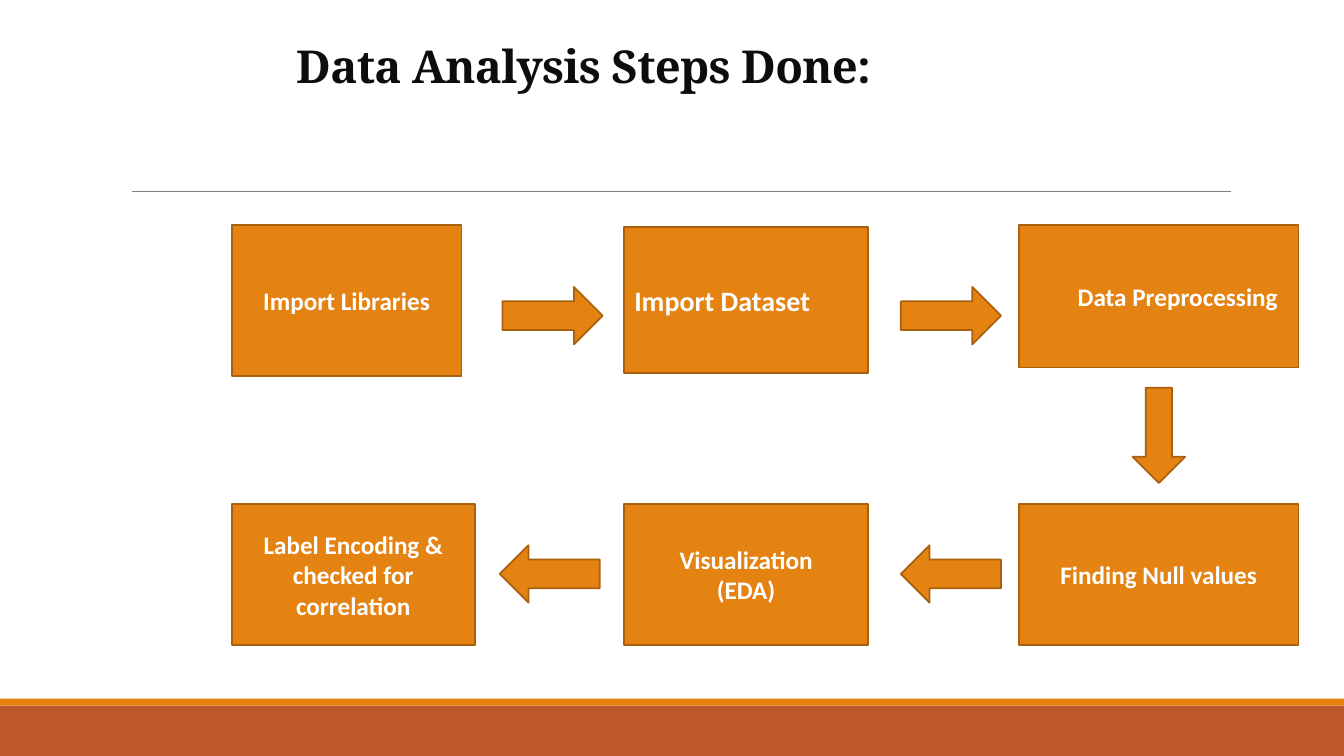
from pptx import Presentation
from pptx.dml.color import RGBColor
from pptx.enum.shapes import MSO_CONNECTOR, MSO_SHAPE
from pptx.enum.text import MSO_ANCHOR, PP_ALIGN
from pptx.oxml.ns import qn
from pptx.util import Pt
from lxml import etree

RECT = MSO_SHAPE.RECTANGLE
RIGHT, DOWN, LEFT = MSO_SHAPE.RIGHT_ARROW, MSO_SHAPE.DOWN_ARROW, MSO_SHAPE.LEFT_ARROW
ALIGN_LEFT, CENTER = PP_ALIGN.LEFT, PP_ALIGN.CENTER
TOP, MIDDLE = MSO_ANCHOR.TOP, MSO_ANCHOR.MIDDLE
STRAIGHT = MSO_CONNECTOR.STRAIGHT
ORANGE, EDGE, RUST = "E48312", "A9610D", "BD582C"
WHITE, INK, GREY = "FFFFFF", "0D0D0D", "808080"
BOX_FONT = {"name": "Calibri", "size": Pt(18), "bold": True}
TITLE_FONT = {"name": "Noto Serif", "size": Pt(32.4), "bold": True}


def rgb(value):
    """Turn a hex string into a colour."""
    return RGBColor.from_string(value)


def add_text(sp, text, font, color, align, anchor, left=7.2):
    """Write one paragraph per line of text and return the runs."""
    tf = sp.text_frame
    frame = {"word_wrap": True, "vertical_anchor": anchor, "margin_left": Pt(left)}
    for key, value in frame.items():
        setattr(tf, key, value)
    tf.text = text
    runs = [r for p in tf.paragraphs for r in p.runs]
    for p in tf.paragraphs:
        p.alignment = align
    for r in runs:
        r.font.color.rgb = rgb(color)
        for key, value in font.items():
            setattr(r.font, key, value)
    return runs


def add_solid(s, kind, bounds, fill, edge=None):
    """Add a filled preset shape, outlined when an edge colour is given."""
    sp = s.shapes.add_shape(kind, *map(Pt, bounds))
    sp.shadow.inherit = False
    sp.fill.solid()
    sp.fill.fore_color.rgb = rgb(fill)
    if edge:
        sp.line.color.rgb = rgb(edge)
        sp.line.width = Pt(1.25)
    else:
        sp.line.fill.background()
    return sp


def add_step(s, bounds, text, align=CENTER, left=7.2, size=18):
    """Add one labelled box of the process."""
    sp = add_solid(s, RECT, bounds, ORANGE, EDGE)
    add_text(sp, text, {**BOX_FONT, "size": Pt(size)}, WHITE, align, MIDDLE, left)


def add_rule(s, x1, x2, y):
    """Add the thin horizontal line under the title."""
    line = s.shapes.add_connector(STRAIGHT, Pt(x1), Pt(y), Pt(x2), Pt(y))
    line.line.color.rgb = rgb(GREY)
    line.line.width = Pt(0.5)
    etree.SubElement(line._element.spPr, qn("a:effectLst"))


def add_title(s, bounds, text):
    """Add the slightly condensed slide title."""
    sp = s.shapes.add_textbox(*map(Pt, bounds))
    sp.text_frame.margin_top = 0
    for r in add_text(sp, text, TITLE_FONT, INK, ALIGN_LEFT, TOP):
        r._r.get_or_add_rPr().set("spc", "-50")


def main():
    """Build the slide and save it."""
    prs = Presentation()
    prs.slide_width, prs.slide_height = Pt(960), Pt(540)
    s = prs.slides.add_slide(prs.slide_layouts[6])

    add_solid(s, RECT, (0, 504, 960, 36), RUST)
    add_solid(s, RECT, (0, 499, 960, 5), ORANGE)
    add_rule(s, 94.3, 879, 136.6)
    add_title(s, (204.5, 27.5, 702, 95), "Data Analysis Steps Done:")

    col1, col2, col3 = 165.6, 446, 728
    row1, row2 = 160.5, 360
    add_step(s, (col1, row1, 164, 108), "Import Libraries")
    add_step(s, (col2, 162, 174, 104.5), "Import Dataset", ALIGN_LEFT, size=20)
    add_step(s, (col3, row1, 199.5, 102), "Data Preprocessing", left=34.2)
    add_step(s, (col1, row2, 173.5, 101), "Label Encoding & checked for correlation")
    add_step(s, (col2, row2, 174, 101), "Visualization\n(EDA)")
    add_step(s, (col3, row2, 199.5, 101), "Finding Null values")

    for kind, x, y in ((RIGHT, 359, 205), (RIGHT, 643.5, 205),
                       (LEFT, 357, 389.5), (LEFT, 643.5, 389.5)):
        add_solid(s, kind, (x, y, 71.5, 41), ORANGE, EDGE)
    add_solid(s, DOWN, (809, 277, 37.5, 68), ORANGE, EDGE)
    prs.save("out.pptx")


main()
